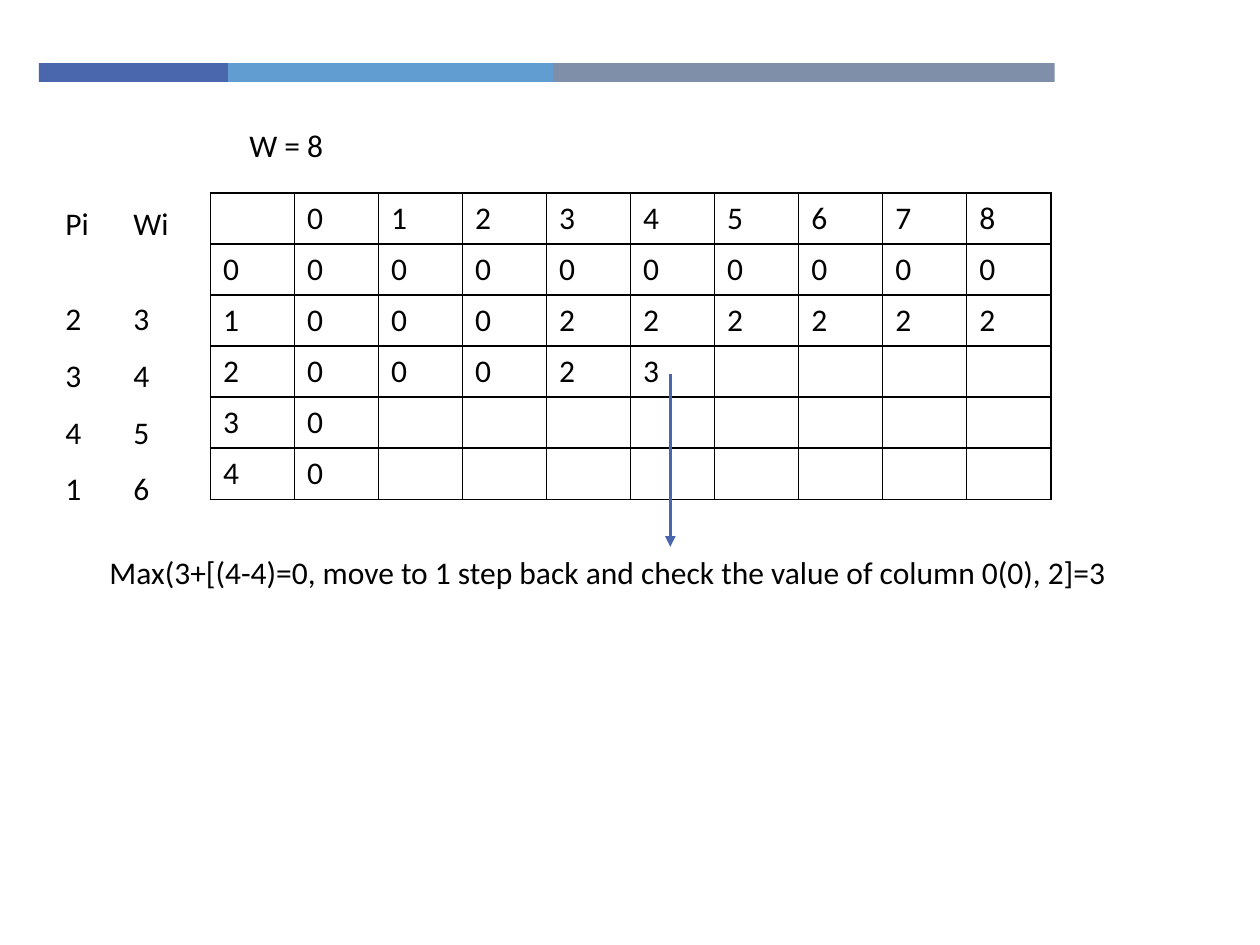
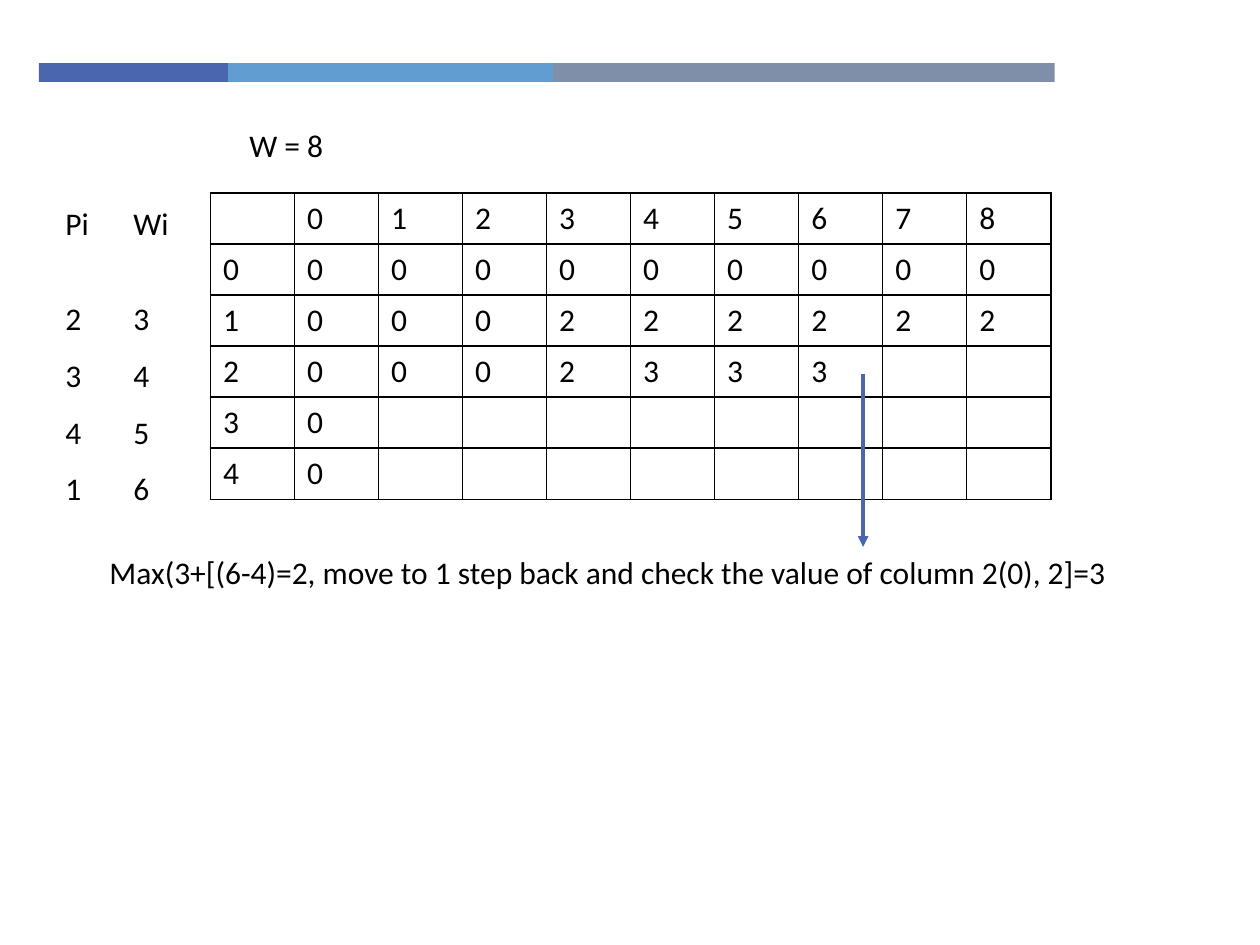
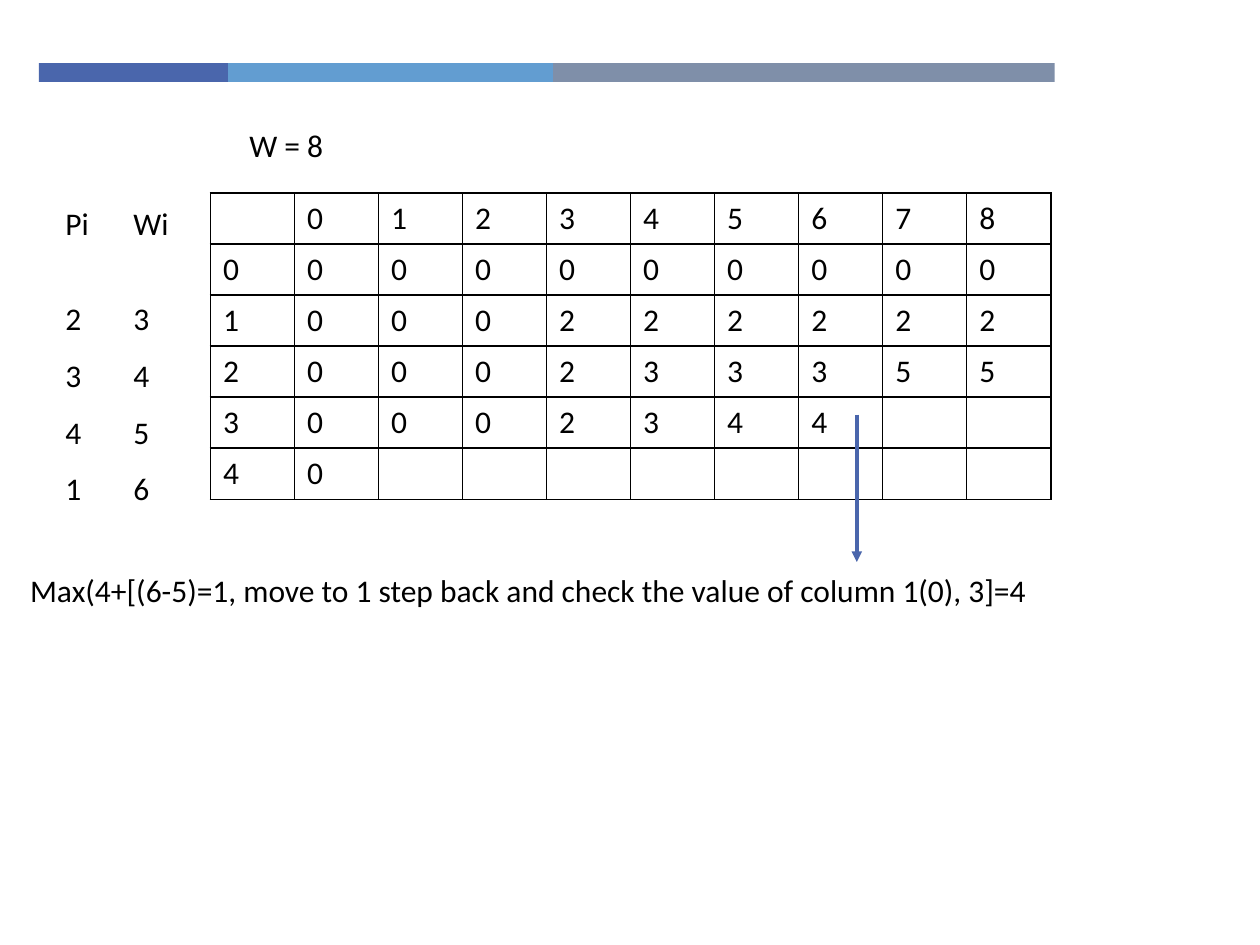
from dataclasses import dataclass

from lxml import etree
from pptx import Presentation
from pptx import util as u
from pptx.dml.color import RGBColor
from pptx.enum import shapes, text
from pptx.oxml import ns


@dataclass(frozen=True)
class Theme:
    """Colours, font and sizes shared by all slides."""
    font: str = "Calibri"
    size: int = 18
    blank_line: int = 22
    ink: str = "000000"
    accent: str = "4A66AC"
    bands: tuple = (("4A66AC", 1.5), ("629DD1", 2.58), ("7F8FA9", 3.98))
    border: int = 1
    arrow: int = 2


T = Theme()
CAPACITIES = "012345678"
PROFITS = ("Pi", "2341")
WEIGHTS = ("Wi", "3456")
ZERO_ROW = "000000000"
FIRST_ROW = "000222222"

STEPS = [
    dict(values=[ZERO_ROW, FIRST_ROW, "00023", "0", "0"],
         note="Max(3+[(4-4)=0, move to 1 step back and check the value of column 0(0), 2]=3",
         note_box=(0.77, 4.34, 8.62, 0.4), arrow=(5.32, 2.97, 4.34)),
    dict(values=[ZERO_ROW, FIRST_ROW, "0002333", "0", "0"],
         note="Max(3+[(6-4)=2, move to 1 step back and check the value of column 2(0), 2]=3",
         note_box=(0.77, 4.34, 8.5, 0.4), arrow=(6.85, 2.97, 4.34)),
    dict(values=[ZERO_ROW, FIRST_ROW, "000233355", "0002344", "0"],
         note="Max(4+[(6-5)=1, move to 1 step back and check the value of column 1(0), 3]=4",
         note_box=(0.14, 4.48, 9.42, 0.4), arrow=(6.8, 3.29, 4.46)),
]


def write(p, content, size=T.size, color=T.ink, spacing=None, before=None):
    """Fill a paragraph with formatted text."""
    p.font.name, p.font.size = T.font, u.Pt(size)
    p.font.color.rgb = RGBColor.from_string(color)
    if spacing:
        p.line_spacing = spacing
    if before:
        p.space_before = u.Pt(before)
    if content:
        r = p.add_run()
        r.text = content
        r.font.name, r.font.size = T.font, u.Pt(size)
        r.font.color.rgb = RGBColor.from_string(color)


def add_text(s, box, content):
    """Add a wrapping text box and return its frame."""
    tf = s.shapes.add_textbox(*map(u.Inches, box)).text_frame
    tf.word_wrap = True
    tf.auto_size = text.MSO_AUTO_SIZE.SHAPE_TO_FIT_TEXT
    write(tf.paragraphs[0], content)
    return tf


def add_bands(s, left, top, height):
    """Draw the coloured bands side by side."""
    for color, width in T.bands:
        sp = s.shapes.add_shape(shapes.MSO_SHAPE.RECTANGLE,
                                *map(u.Inches, (left, top, width, height)))
        sp.shadow.inherit = False
        sp.fill.solid()
        sp.fill.fore_color.rgb = RGBColor.from_string(color)
        sp.line.fill.background()
        left += width


def add_item_column(s, box, heading, items):
    """List one property of the items beside the table rows."""
    tf = add_text(s, box, heading)
    for i, item in enumerate(items):
        write(tf.add_paragraph(), item, spacing=1.5,
              before=None if i else T.blank_line)


def add_borders(cell):
    """Draw all four borders of a cell."""
    tc_pr = cell._tc.get_or_add_tcPr()
    for side in ("lnL", "lnR", "lnT", "lnB"):
        ln = etree.SubElement(tc_pr, ns.qn(f"a:{side}"), w=str(u.Pt(T.border)))
        fill = etree.SubElement(ln, ns.qn("a:solidFill"))
        etree.SubElement(fill, ns.qn("a:srgbClr"), val=T.ink)


def add_grid(s, box, values):
    """Add the knapsack table with its header row and item numbers."""
    rows = [" " + CAPACITIES] + [f"{i}{row}" for i, row in enumerate(values)]
    n_cols = len(rows[0])
    table = s.shapes.add_table(len(rows), n_cols, *map(u.Inches, box)).table
    table.first_row = table.horz_banding = False
    for col in table.columns:
        col.width = u.Inches(box[2] / n_cols)
    for i, row in enumerate(rows):
        table.rows[i].height = u.Inches(box[3] / len(rows))
        for j, value in enumerate(row.ljust(n_cols)):
            cell = table.cell(i, j)
            add_borders(cell)
            cell.fill.background()
            write(cell.text_frame.paragraphs[0], value.strip())


def add_arrow(s, x, top, bottom):
    """Draw a downward arrow from a cell to its explanation."""
    c = s.shapes.add_connector(shapes.MSO_CONNECTOR.STRAIGHT,
                               *map(u.Inches, (x, top, x, bottom)))
    c.line.color.rgb = RGBColor.from_string(T.accent)
    c.line.width = u.Pt(T.arrow)
    sp_pr = c._element.spPr
    etree.SubElement(sp_pr.find(ns.qn("a:ln")), ns.qn("a:tailEnd"), type="triangle")
    etree.SubElement(sp_pr, ns.qn("a:effectLst"))


def add_step(prs, values, note, note_box, arrow):
    """Build one slide of the knapsack walk-through."""
    s = prs.slides.add_slide(prs.slide_layouts[6])
    add_bands(s, 0.31, 0.5, 0.15)
    add_grid(s, (1.67, 1.53, 6.67, 2.43), values)
    add_item_column(s, (0.96, 1.57, 0.71, 2.48), *WEIGHTS)
    add_item_column(s, (0.42, 1.57, 0.71, 2.48), *PROFITS)
    add_text(s, (1.88, 0.95, 0.95, 0.4), "W = 8")
    add_text(s, note_box, note)
    add_arrow(s, *arrow)


def main():
    """Build and save the presentation."""
    prs = Presentation()
    prs.slide_width, prs.slide_height = u.Inches(10), u.Inches(7.5)
    for step in STEPS:
        add_step(prs, **step)
    prs.save("out.pptx")


if __name__ == "__main__":
    main()
